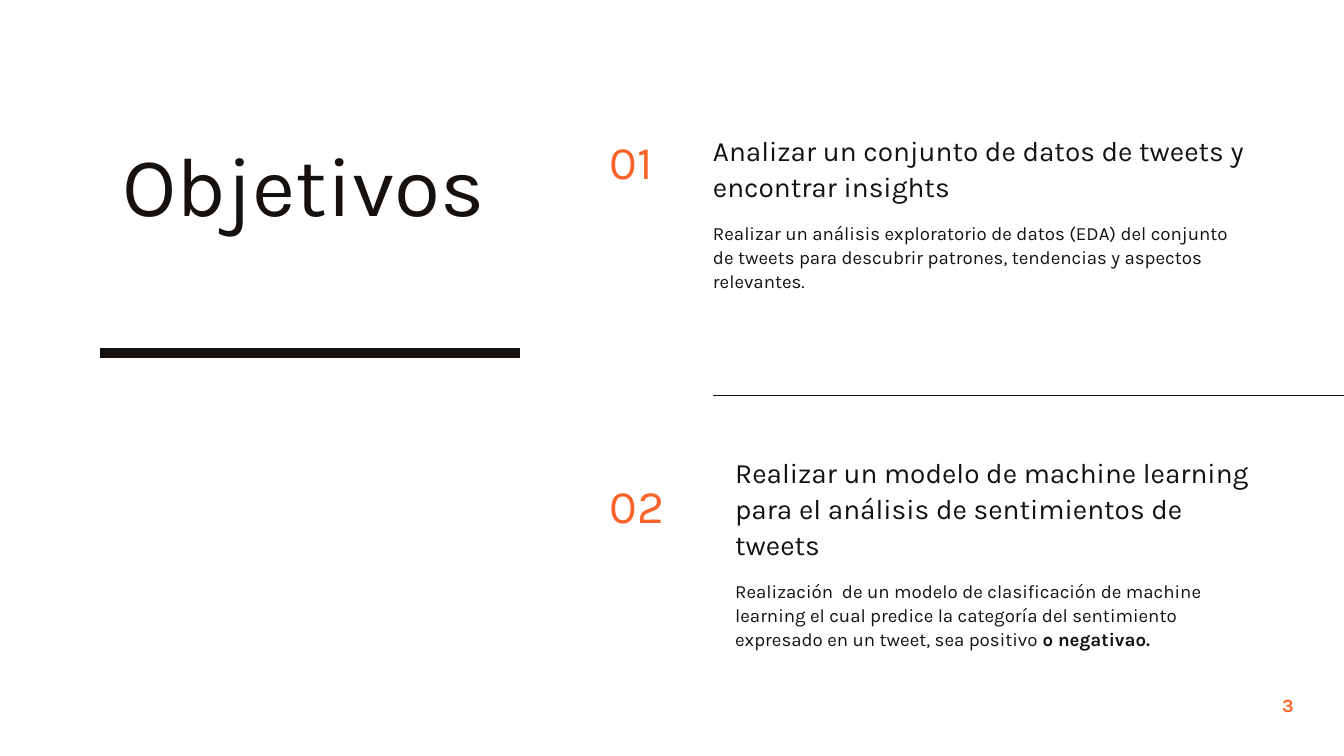
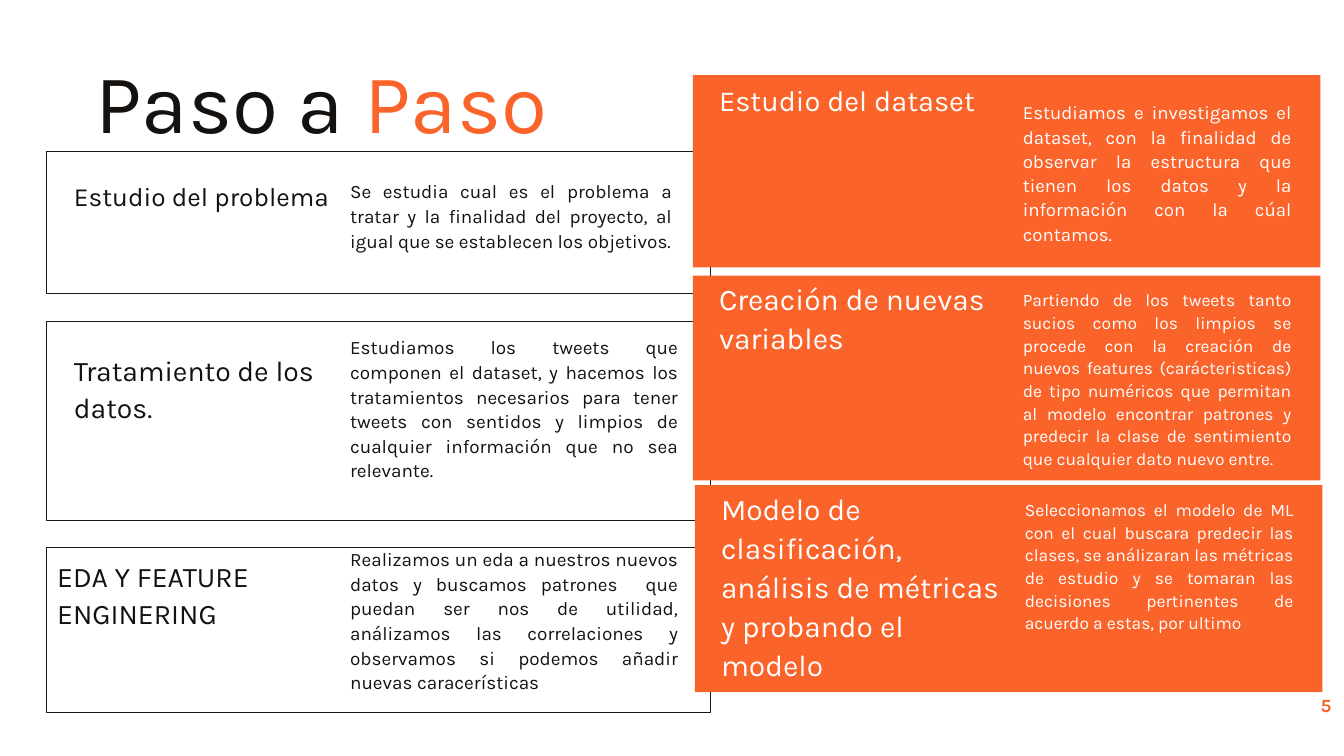
from lxml.etree import SubElement
from pptx import Presentation
from pptx.dml.color import RGBColor
from pptx.enum.shapes import MSO_CONNECTOR, MSO_SHAPE
from pptx.enum.text import MSO_AUTO_SIZE, PP_ALIGN
from pptx.oxml.ns import qn
from pptx.util import Pt

PX = 9144
FONT = "Karla"
INK = RGBColor(0x14, 0x11, 0x0F)
FRAME = RGBColor(0x19, 0x19, 0x19)
ORANGE = RGBColor(0xFA, 0x63, 0x2A)
WHITE = RGBColor(0xFF, 0xFF, 0xFF)

GOALS = [
    ("01", (907, 197), (1061, 194), 108, 133, [
        "Analizar un conjunto de datos de tweets y encontrar insights",
        [("Realizar un análisis exploratorio de datos (EDA) del conjunto de tweets para "
          "descubrir patrones, tendencias y aspectos relevantes.", INK, False)]]),
    ("02", (907, 709), (1094, 673), 162, 187, [
        "Realizar un modelo de machine learning para el análisis de sentimientos de tweets",
        [("Realización  de un modelo de clasificación de machine learning el cual predice la "
          "categoría del sentimiento expresado en un tweet, sea positivo", INK, False),
         (" o negativao.", INK, True)]]),
]

FRAMED_STEPS = [
    ((69, 225, 988, 212), (41, 39, 442, 50), 28.1, 36.5, (452, 40, 479, 145),
     "Estudio del problema",
     "Se estudia cual es el problema a tratar y la finalidad del proyecto, al igual que se "
     "establecen los objetivos."),
    ((69, 479, 988, 295), (41, 42, 442, 110), 30.4, 39.6, (452, 18, 488, 218),
     "Tratamiento de los datos.",
     "Estudiamos los tweets que componen el dataset, y hacemos los tratamientos necesarios "
     "para tener tweets con sentidos y limpios de cualquier información que no sea relevante."),
    ((69, 814, 988, 247), (16, 14, 408, 110), 30.4, 39.6, (452, -2, 488, 218),
     "EDA Y FEATURE ENGINERING",
     "Realizamos un eda a nuestros nuevos datos y buscamos patrones  que puedan ser nos de "
     "utilidad, análizamos las correlaciones y observamos si podemos añadir nuevas "
     "caracerísticas"),
]

FILLED_STEPS = [
    ((1031, 112, 934, 286), (39, 7, 418, 56), 31, 40.3, (491, 36, 400, 213), 20, 26,
     "Estudio del dataset",
     "Estudiamos e investigamos el dataset, con la finalidad de observar la estructura que "
     "tienen los datos y la información con la cúal contamos."),
    ((1031, 410, 934, 305), (39, 3, 418, 113), 32.1, 41.8, (491, 18, 400, 266), 18.7, 24.3,
     "Creación de nuevas variables",
     "Partiendo de los tweets tanto sucios como los limpios se procede con la creación de "
     "nuevos features (carácteristicas) de tipo numéricos que permitan al modelo encontrar "
     "patrones y predecir la clase de sentimiento que cualquier dato nuevo entre."),
    ((1034, 722, 934, 308), (39, 3, 418, 285), 32.1, 41.8, (491, 18, 400, 200), 18.7, 24.3,
     "Modelo de clasificación, análisis de métricas y probando el modelo",
     "Seleccionamos el modelo de ML con el cual buscara predecir las clases, se análizaran "
     "las métricas de estudio y se tomaran las decisiones pertinentes de acuerdo a estas, "
     "por ultimo"),
]


def emu(*lengths):
    """Turn px lengths into EMU."""
    return [length * PX for length in lengths]


def inside(box, part):
    """Move a part's offset from its box to slide coordinates."""
    return box[0] + part[0], box[1] + part[1], part[2], part[3]


def add_text(s, box, runs, size, leading, align=PP_ALIGN.LEFT, wrap=True):
    """Add a text box without insets from (text, colour, bold) runs."""
    tf = s.shapes.add_textbox(*emu(*box)).text_frame
    tf.margin_left = tf.margin_top = tf.margin_right = tf.margin_bottom = 0
    tf.word_wrap = wrap
    tf.auto_size = MSO_AUTO_SIZE.SHAPE_TO_FIT_TEXT
    p = tf.paragraphs[0]
    p.alignment = align
    p.line_spacing = Pt(leading)
    for text, color, bold in runs:
        r = p.add_run()
        r.text = text
        r.font.name = FONT
        r.font.size = Pt(size)
        r.font.bold = bold
        r.font.color.rgb = color


def add_rule(s, x, y, width, weight):
    """Draw a horizontal rule."""
    line = s.shapes.add_connector(MSO_CONNECTOR.STRAIGHT, *emu(x, y, x + width, y))
    line.line.color.rgb = INK
    line.line.width = Pt(weight)
    SubElement(line._element.spPr, qn("a:effectLst"))


def add_panel(s, box, fill=None):
    """Draw a filled panel, or a thin frame when no fill is given."""
    sp = s.shapes.add_shape(MSO_SHAPE.RECTANGLE, *emu(*box))
    sp.shadow.inherit = False
    if fill is None:
        sp.fill.background()
        sp.line.color.rgb = FRAME
        sp.line.width = Pt(1)
    else:
        sp.fill.solid()
        sp.fill.fore_color.rgb = fill
        sp.line.fill.background()


def add_title(s, box, runs):
    """Add the large slide title."""
    add_text(s, box, [(text, color, False) for text, color in runs], 90, 108)


def add_page_number(s, x, number):
    """Add the bold page number at the foot."""
    add_text(s, (x, 1027, 17, 23), [(number, ORANGE, True)], 20, 28, PP_ALIGN.CENTER, False)


def add_goal(s, number, number_at, text_at, head_height, body_top, texts):
    """Add a numbered goal with its heading and description."""
    head, body = texts
    x, y = text_at
    add_text(s, (*number_at, 93, 84), [(number, ORANGE, False)], 50, 60)
    add_text(s, (x, y, 793, head_height), [(head, INK, False)], 30, 39)
    add_text(s, (x, y + body_top, 793, 107), body, 20, 26)


def add_step(s, box, head_box, head_size, head_leading, body_box, body_size, body_leading,
             head, body, fill=None):
    """Add a step panel with its heading and justified description."""
    color = WHITE if fill else INK
    add_panel(s, box, fill)
    add_text(s, inside(box, head_box), [(head, color, False)], head_size, head_leading)
    add_text(s, inside(box, body_box), [(body, color, False)], body_size, body_leading,
             PP_ALIGN.JUSTIFY)


def goals_slide(s):
    """Build the slide of goals."""
    add_title(s, (182, 197, 566, 151), [("Objetivos", INK)])
    add_rule(s, 149, 525, 625, 11)
    add_rule(s, 1061, 589, 939, 0.75)
    for goal in GOALS:
        add_goal(s, *goal)
    add_page_number(s, 1908, "3")


def steps_slide(s):
    """Build the slide of steps."""
    add_title(s, (142, 74, 835, 151), [("Paso a ", INK), ("Paso", ORANGE)])
    add_page_number(s, 1965, "5")
    for box, head_box, size, leading, body_box, head, body in FRAMED_STEPS:
        add_step(s, box, head_box, size, leading, body_box, 20.3, 26.4, head, body)
    for step in FILLED_STEPS:
        add_step(s, *step, fill=ORANGE)


def main():
    """Build and save the presentation."""
    prs = Presentation()
    prs.slide_width, prs.slide_height = emu(2000, 1125)
    for build in (goals_slide, steps_slide):
        build(prs.slides.add_slide(prs.slide_layouts[6]))
    prs.save("out.pptx")


if __name__ == "__main__":
    main()
